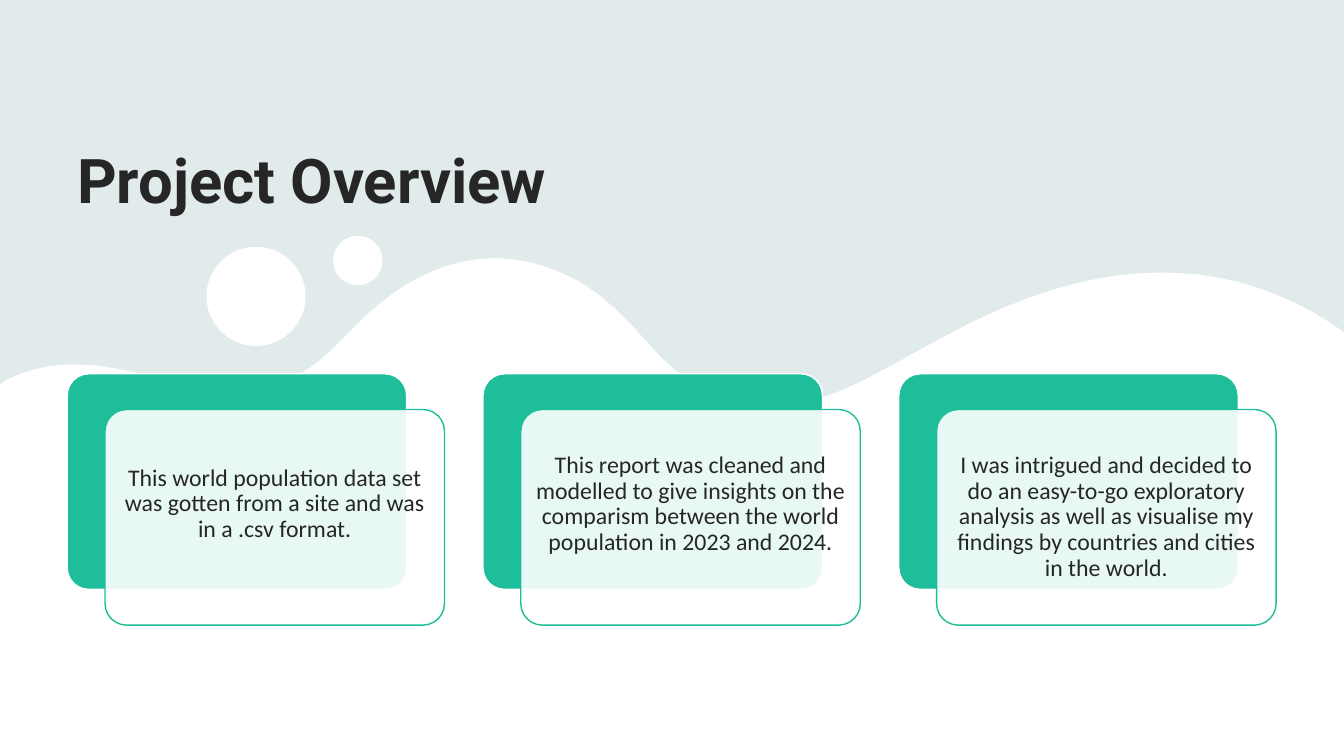
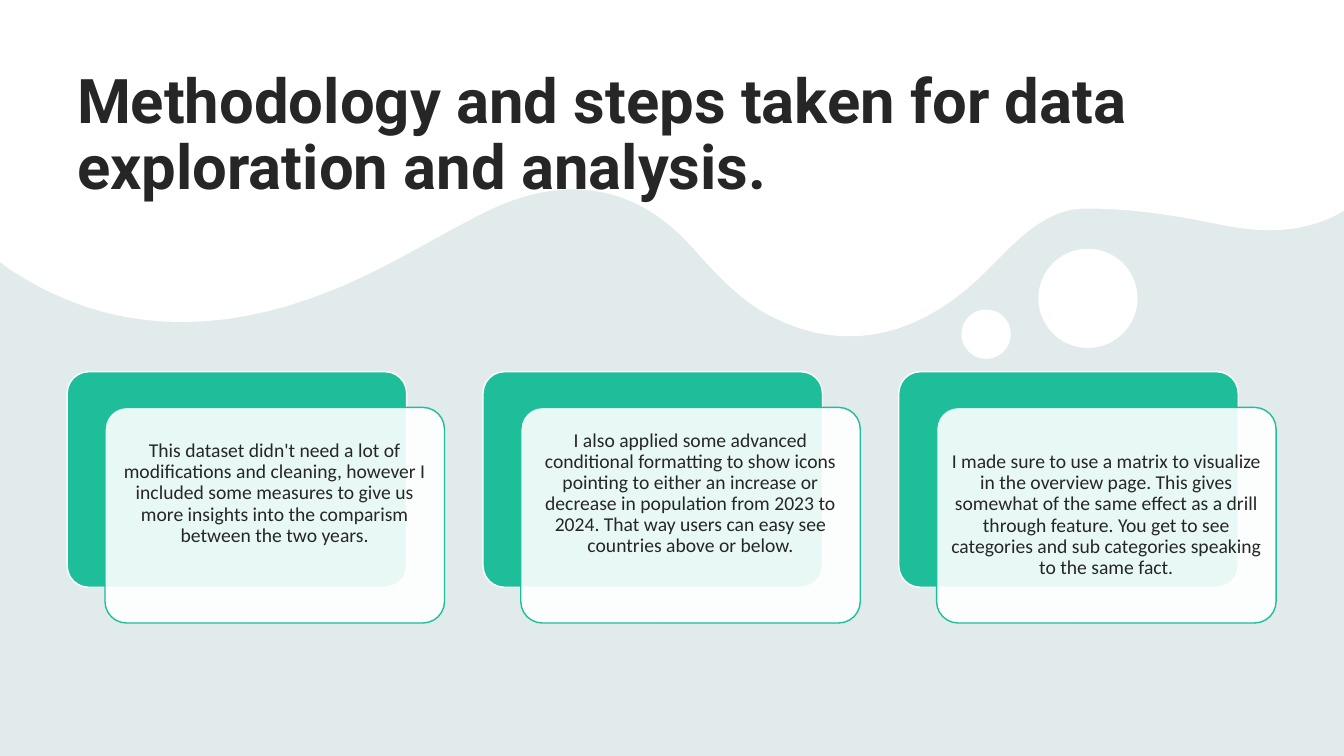
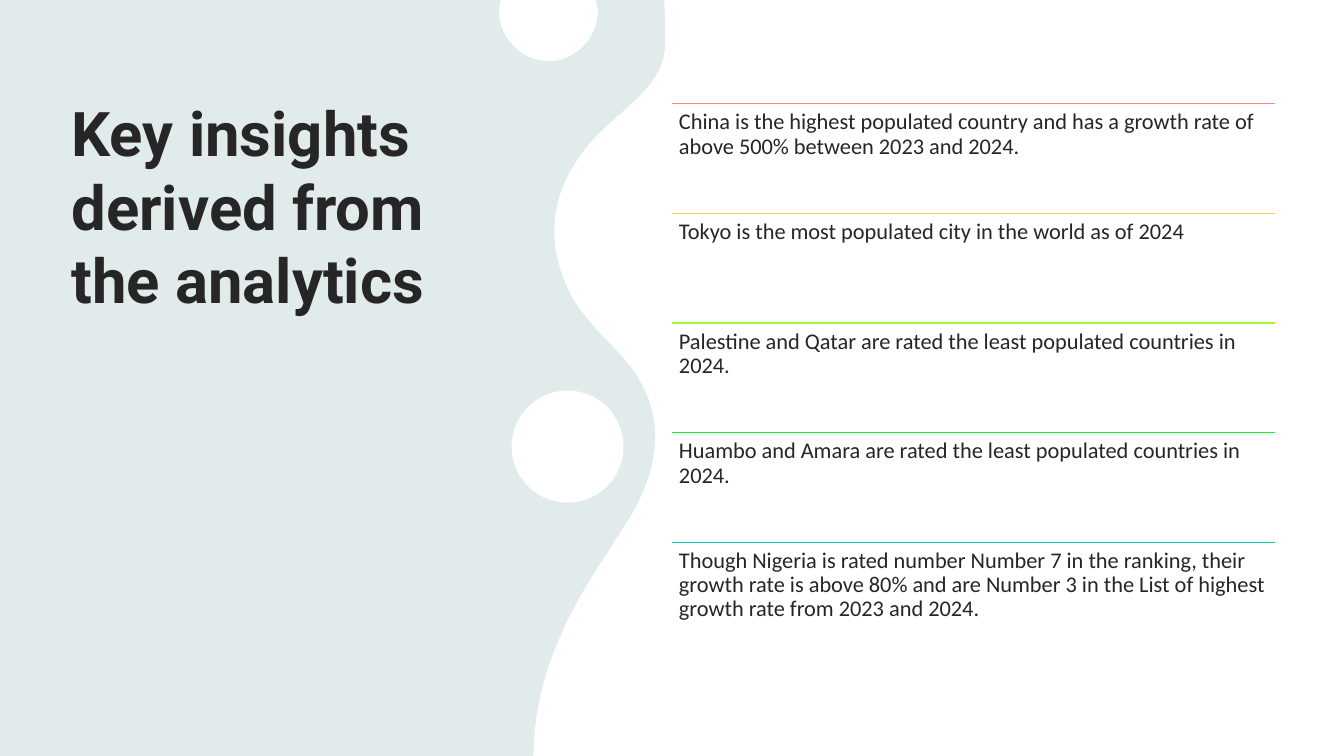
from lxml import etree
from pptx import Presentation
from pptx.dml.color import RGBColor
from pptx.enum.shapes import MSO_CONNECTOR, MSO_SHAPE
from pptx.enum.text import MSO_ANCHOR, PP_ALIGN
from pptx.oxml.ns import qn
from pptx.util import Pt

OVAL = MSO_SHAPE.OVAL
ROUNDED = MSO_SHAPE.ROUNDED_RECTANGLE
STRAIGHT = MSO_CONNECTOR.STRAIGHT
TOP, MIDDLE, BOTTOM = MSO_ANCHOR.TOP, MSO_ANCHOR.MIDDLE, MSO_ANCHOR.BOTTOM
LEFT, CENTER = PP_ALIGN.LEFT, PP_ALIGN.CENTER

MIST = RGBColor(0xE1, 0xEB, 0xEB)
WHITE = RGBColor(0xFF, 0xFF, 0xFF)
GREEN = RGBColor(0x1E, 0xBE, 0x9B)
INK = RGBColor(0x26, 0x26, 0x26)
RULE_COLOURS = [
    RGBColor(0xFD, 0x86, 0x86),
    RGBColor(0xFB, 0xCE, 0x5C),
    RGBColor(0xA3, 0xF8, 0x32),
    RGBColor(0x0A, 0xF4, 0x2C),
    RGBColor(0x0A, 0xC8, 0xAD),
]
TITLE_FONT, BODY_FONT = "Roboto", "Calibri"

SLIDE_W, SLIDE_H = 960, 540
CURVE_STEPS = 16
HILL_FLIP = 424.8
HILL_START = (5, 271.4)
HILL_CURVES = [
    (31.7, 257.8, 59, 258.5, 87.8, 264.2),
    (118.8, 270.7, 151.2, 275.8, 182.9, 275.8),
    (212.4, 276.5, 232.6, 254.2, 252, 234.7),
    (299.5, 185, 354.2, 170.6, 409, 198.7),
    (430.6, 209.5, 448.6, 229, 465.1, 247.7),
    (509, 297.4, 563, 298.8, 614.2, 272.9),
    (650.2, 254.9, 684.7, 232.6, 722.9, 217.4),
    (804.2, 184.3, 883.4, 185.8, 953.3, 232.6),
]
BUBBLES = [(182.9, 211.7, 35.4), (255.6, 186.1, 17.6)]
SHORE_START = (381.6, 528.5)
SHORE_CURVES = [
    (383, 501.1, 391, 473.8, 403.9, 446.4),
    (416.9, 418.3, 436.3, 392.4, 452.2, 365.8),
    (474.5, 326.9, 475.9, 285.1, 439.2, 249.1),
    (426.2, 235.4, 411.8, 221, 404.6, 203.8),
    (385.2, 159.8, 398.9, 118.8, 439.9, 84.2),
    (455.8, 69.8, 473.8, 56.2, 475.2, 33.1),
    (475.2, 26.6, 475.2, 20.9, 475.2, 14.4),
]
DROP_START = (427, 6.5)
DROP_CURVES = [
    (427.7, 22.3, 416.9, 37.4, 401, 42.5),
    (382.3, 47.5, 362.9, 36, 357.8, 17.3),
    (356.4, 13, 356.4, 7.9, 357.1, 3.6),
]

CARD_LEFT, CARD_PITCH = 48, 297
CARD_W, CARD_H = 242.5, 154
CARD_SHIFT_X, CARD_SHIFT_Y = 27, 25.5
LINE_FACTOR = 1.1

OVERVIEW = [
    ("This world population data set was gotten from a site and was in a .csv format.", 1),
    ("This report was cleaned and modelled to give insights on the comparism between "
     "the world population in 2023 and 2024.", 1),
    ("I was intrigued and decided to do an easy-to-go exploratory analysis as well as "
     "visualise my findings by countries and cities in the world.", 0),
]
METHODOLOGY = [
    ("This dataset didn't need a lot of modifications and cleaning, however I included "
     "some measures to give us more insights into the comparism between the two years.", 2),
    ("I also applied some advanced conditional formatting to show icons pointing to "
     "either an increase or decrease in population from 2023 to 2024. That way users "
     "can easy see countries above or below.", 2),
    ("I made sure to use a matrix to visualize in the overview page. This gives somewhat "
     "of the same effect as a drill through feature. You get to see categories and sub "
     "categories speaking to the same fact.", 0),
]
INSIGHTS = [
    "China is the highest populated country and has a growth rate of above 500% "
    "between 2023 and 2024.",
    "Tokyo is the most populated city in the world as of 2024",
    "Palestine and Qatar are rated the least populated countries in 2024.",
    "Huambo and Amara are rated the least populated countries in 2024.",
    "Though Nigeria is rated number Number 7 in the ranking, their growth rate is above "
    "80% and are Number 3 in the List of highest growth rate from 2023 and 2024.",
]


def write(shape, text, size, font=BODY_FONT, bold=False, align=LEFT, anchor=TOP,
          spacing=0.9, after=0, insets=(5, 5, 5, 5)):
    frame = shape.text_frame
    frame.word_wrap = True
    frame.vertical_anchor = anchor
    (frame.margin_left, frame.margin_top,
     frame.margin_right, frame.margin_bottom) = map(Pt, insets)
    paragraph = frame.paragraphs[0]
    paragraph.alignment = align
    paragraph.line_spacing = spacing
    paragraph.space_after = Pt(after)
    run = paragraph.add_run()
    run.text = text
    run.font.size = Pt(size)
    run.font.name = font
    run.font.bold = bold
    run.font.color.rgb = INK


def add_text(slide, text, left, top, width, height, **style):
    box = slide.shapes.add_textbox(Pt(left), Pt(top), Pt(width), Pt(height))
    write(box, text, **style)


def add_title(slide, text, left, top, width, height, anchor=BOTTOM, spacing=1.0):
    add_text(slide, text, left, top, width, height, size=44, font=TITLE_FONT, bold=True,
             anchor=anchor, spacing=spacing, after=6, insets=(7.2, 3.6, 7.2, 3.6))


def paint(shape, fill, line=None, opacity=100):
    shape.shadow.inherit = False
    shape.fill.solid()
    shape.fill.fore_color.rgb = fill
    if opacity < 100:
        colour = shape.fill._xPr.find(qn("a:solidFill"))[0]
        etree.SubElement(colour, qn("a:alpha")).set("val", str(opacity * 1000))
    if line is None:
        shape.line.fill.background()
    else:
        shape.line.color.rgb = line
        shape.line.width = Pt(1)


def trace(start, curves):
    points = [start]
    for x1, y1, x2, y2, x3, y3 in curves:
        x0, y0 = points[-1]
        for step in range(1, CURVE_STEPS + 1):
            t = step / CURVE_STEPS
            u = 1 - t
            weights = (u ** 3, 3 * u * u * t, 3 * u * t * t, t ** 3)
            points.append((
                sum(w * x for w, x in zip(weights, (x0, x1, x2, x3))),
                sum(w * y for w, y in zip(weights, (y0, y1, y2, y3))),
            ))
    return points


def add_outline(slide, points):
    corners = [(Pt(x), Pt(y)) for x, y in points]
    builder = slide.shapes.build_freeform(*corners[0], scale=1.0)
    builder.add_line_segments(corners[1:], close=True)
    paint(builder.convert_to_shape(), WHITE)


def add_circle(slide, x, y, radius):
    circle = slide.shapes.add_shape(
        OVAL, Pt(x - radius), Pt(y - radius), Pt(2 * radius), Pt(2 * radius))
    paint(circle, WHITE)


def add_hills(slide, flipped=False):
    def place(x, y):
        return (SLIDE_W - x, HILL_FLIP - y) if flipped else (x, y)

    edge = 0 if flipped else SLIDE_H
    ridge = [(0, 274.3)] + trace(HILL_START, HILL_CURVES) + [(SLIDE_W, 237.6)]
    points = [place(x, y) for x, y in ridge]
    add_outline(slide, points + [(points[-1][0], edge), (points[0][0], edge)])
    for x, y, radius in BUBBLES:
        add_circle(slide, *place(x, y), radius)


def add_shore(slide):
    add_outline(slide, [(SLIDE_W, 0), (SLIDE_W, SLIDE_H), (380.9, SLIDE_H)]
                + trace(SHORE_START, SHORE_CURVES) + [(474.5, 0)])
    add_outline(slide, [(357.8, 0), (425.5, 0)] + trace(DROP_START, DROP_CURVES))
    add_circle(slide, 405.4, 319, 40)


def add_panel(slide, left, top, fill, line, opacity=100):
    panel = slide.shapes.add_shape(ROUNDED, Pt(left), Pt(top), Pt(CARD_W), Pt(CARD_H))
    panel.adjustments[0] = 0.1
    paint(panel, fill, line, opacity)
    return panel


def add_cards(slide, cards, top, size):
    for index, (text, lines_below) in enumerate(cards):
        left = CARD_LEFT + index * CARD_PITCH
        add_panel(slide, left, top, GREEN, WHITE)
        front = add_panel(slide, left + CARD_SHIFT_X, top + CARD_SHIFT_Y, WHITE, GREEN, 90)
        lift = lines_below * size * LINE_FACTOR
        write(front, text, size, align=CENTER, anchor=MIDDLE, insets=(5, 5, 5, 5 + lift))


def add_rule(slide, left, top, width, colour):
    rule = slide.shapes.add_connector(
        STRAIGHT, Pt(left), Pt(top), Pt(left + width), Pt(top))
    rule.line.color.rgb = colour
    rule.line.width = Pt(1)
    etree.SubElement(rule._element.spPr, qn("a:effectLst"))


def add_insights(slide, left=480, top=74, width=431, pitch=78.35):
    for index, (text, colour) in enumerate(zip(INSIGHTS, RULE_COLOURS)):
        row_top = top + index * pitch
        add_rule(slide, left, row_top, width, colour)
        add_text(slide, text, left, row_top, width, pitch, size=16)


def add_slide(deck):
    slide = deck.slides.add_slide(deck.slide_layouts[6])
    slide.background.fill.solid()
    slide.background.fill.fore_color.rgb = MIST
    return slide


def main():
    deck = Presentation()
    deck.slide_width, deck.slide_height = Pt(SLIDE_W), Pt(SLIDE_H)

    overview = add_slide(deck)
    add_hills(overview)
    add_title(overview, "Project Overview", 48, 44, 864, 114)
    add_cards(overview, OVERVIEW, top=267, size=17)

    methodology = add_slide(deck)
    add_hills(methodology, flipped=True)
    add_title(methodology, "Methodology and steps taken for data exploration and analysis.",
              48, 44, 864, 104.5, spacing=0.9)
    add_cards(methodology, METHODOLOGY, top=265.5, size=14)

    insights = add_slide(deck)
    add_shore(insights)
    add_title(insights, "Key insights derived from the analytics",
              44, 64, 292, 426, anchor=TOP)
    add_insights(insights)

    deck.save("out.pptx")


if __name__ == "__main__":
    main()
